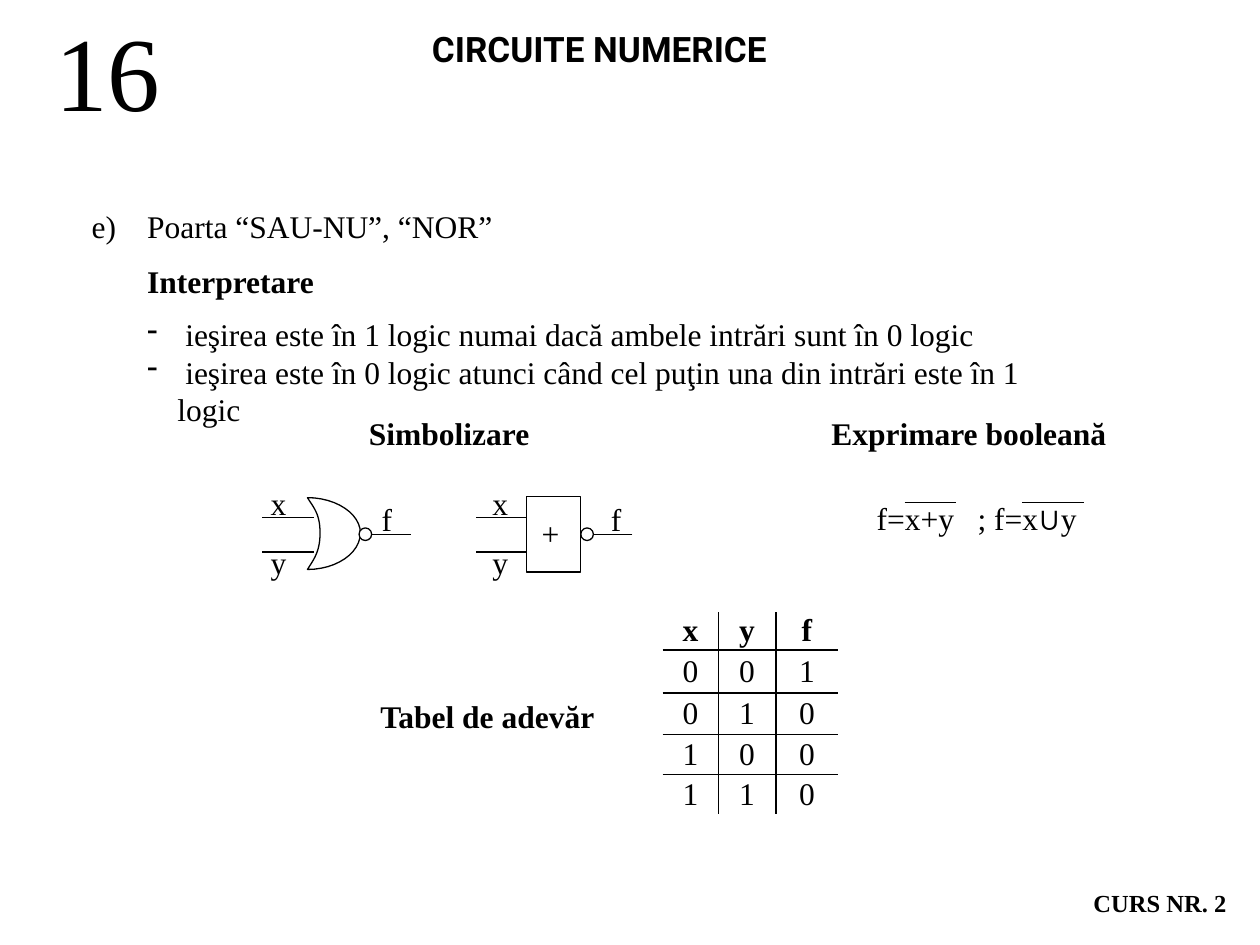
from lxml import etree
from pptx import Presentation, util as u
from pptx.dml.color import RGBColor
from pptx.enum import shapes, text as styles
from pptx.oxml import ns

BLACK = RGBColor(0, 0, 0)
WHITE = RGBColor(255, 255, 255)
SERIF = "Times New Roman"
THIN, THICK = u.Pt(0.75), u.Pt(1.5)

deck = Presentation()
deck.slide_width, deck.slide_height = u.Inches(10), u.Inches(7.5)
page = deck.slides.add_slide(deck.slide_layouts[6])


def write(content, left, top, width, height=0.4, size=18, font=SERIF, bold=False, wrap=False):
    """Add a text box with one paragraph per line; the union sign is set in Arial."""
    box = page.shapes.add_textbox(*map(u.Inches, (left, top, width, height)))
    frame = box.text_frame
    frame.word_wrap = wrap
    if not wrap:
        frame.auto_size = styles.MSO_AUTO_SIZE.SHAPE_TO_FIT_TEXT
    for number, line in enumerate(content.split("\n")):
        para = frame.add_paragraph() if number else frame.paragraphs[0]
        for piece, face in zip(line.partition("∪"), (font, "Arial", font)):
            if piece:
                span = para.add_run()
                span.text = piece
                span.font.name, span.font.size, span.font.bold = face, u.Pt(size), bold
                span.font.color.rgb = BLACK
    return box


def draw_line(x1, y1, x2, y2):
    line = page.shapes.add_connector(shapes.MSO_CONNECTOR.STRAIGHT, *map(u.Inches, (x1, y1, x2, y2)))
    line.line.color.rgb, line.line.width = BLACK, THIN
    etree.SubElement(line._element.spPr, ns.qn("a:effectLst"))
    return line


# Title, slide number and footer
write("CIRCUITE NUMERICE", 3.33, 0.17, 3.03, 0.44, size=20, font="Roboto", bold=True)
write("CURS NR. 2", 8.58, 7, 1.26, 0.34, size=14, bold=True)
write("16", 0.34, 0, 1.03, 1.1, size=60)

# Item and section headings
write("e)", 0.63, 1.59, 0.4)
write("Poarta “SAU-NU”, “NOR”", 1.07, 1.59, 2.94)
for heading, left, top, width in (
    ("Interpretare", 1.07, 2.03, 1.53),
    ("Simbolizare", 2.83, 3.24, 1.48),
    ("Exprimare booleană", 6.5, 3.24, 2.39),
    ("Tabel de adevăr", 2.92, 5.48, 1.92),
):
    write(heading, left, top, width, bold=True)

# Interpretation bullets
bullets = write(
    " ieşirea este în 1 logic numai dacă ambele intrări sunt în 0 logic\n"
    " ieşirea este în 0 logic atunci când cel puţin una din intrări este în 1 logic",
    1.07, 2.45, 7.53, 0.7, wrap=True)
for para in bullets.text_frame.paragraphs:
    settings = para._p.get_or_add_pPr()
    settings.set("marL", str(u.Inches(0.24)))
    settings.set("indent", str(u.Inches(-0.24)))
    etree.SubElement(settings, ns.qn("a:buFontTx"))
    etree.SubElement(settings, ns.qn("a:buChar"), char="-")

# Truth table: inner rules only, thick below the header and before the output
rows = ("xyf", "001", "010", "100", "110")
widths = (0.44, 0.46, 0.49)
heights = (0.29, 0.34, 0.33, 0.32, 0.31)
frame = page.shapes.add_table(
    len(rows), len(widths), u.Inches(5.26), u.Inches(4.86), u.Inches(sum(widths)), u.Inches(sum(heights)))
table = frame.table
table.first_row = table.horz_banding = False
for column, width in zip(table.columns, widths):
    column.width = u.Inches(width)
for row, height in zip(table.rows, heights):
    row.height = u.Inches(height)
for r, values in enumerate(rows):
    for c, value in enumerate(values):
        cell = table.cell(r, c)
        cell.margin_left = cell.margin_right = cell.margin_top = cell.margin_bottom = 0
        cell.vertical_anchor = styles.MSO_ANCHOR.MIDDLE
        para = cell.text_frame.paragraphs[0]
        para.alignment = styles.PP_ALIGN.CENTER
        span = para.add_run()
        span.text = value
        span.font.name, span.font.size, span.font.bold = SERIF, u.Pt(18), r == 0
        span.font.color.rgb = BLACK
        borders = {
            "lnL": (0, THIN, THICK)[c],
            "lnR": (THIN, THICK, 0)[c],
            "lnT": (0, THICK, THIN, THIN, THIN)[r],
            "lnB": (THICK, THIN, THIN, THIN, 0)[r],
        }
        for side, weight in borders.items():
            border = etree.SubElement(cell._tc.get_or_add_tcPr(), ns.qn("a:" + side), w=str(weight))
            if weight:
                paint = etree.SubElement(border, ns.qn("a:solidFill"))
                etree.SubElement(paint, ns.qn("a:srgbClr"), val=str(BLACK))
            else:
                etree.SubElement(border, ns.qn("a:noFill"))
        cell.fill.solid()
        cell.fill.fore_color.rgb = WHITE

# Input wires of both gates
for wire_left, wire_right in ((2.08, 2.49), (3.78, 4.19)):
    for wire_top in (4.11, 4.38):
        draw_line(wire_right, wire_top, wire_left, wire_top)

# NOR gate outline, sampled from its four curves
curves = (
    ((2.44, 3.95), (2.49, 4.03), (2.54, 4.08), (2.54, 4.23)),
    ((2.54, 4.23), (2.54, 4.38), (2.49, 4.44), (2.44, 4.52)),
    ((2.44, 4.52), (2.67, 4.52), (2.86, 4.39), (2.86, 4.23)),
    ((2.86, 4.23), (2.86, 4.08), (2.67, 3.95), (2.44, 3.95)),
)
steps = 12
points = [[u.Inches(value) for value in curves[0][0]]]
for curve in curves:
    for step in range(1, steps + 1):
        t = step / steps
        weights = ((1 - t) ** 3, 3 * t * (1 - t) ** 2, 3 * t * t * (1 - t), t ** 3)
        points.append([
            u.Inches(sum(w * point[axis] for w, point in zip(weights, curve))) for axis in (0, 1)])
builder = page.shapes.build_freeform(*points[0])
builder.add_line_segments(points[1:], close=True)
nor_gate = builder.convert_to_shape()

# Block symbol and output wires
block = page.shapes.add_shape(
    shapes.MSO_SHAPE.RECTANGLE, *map(u.Inches, (4.18, 3.94, 0.43, 0.6)))
draw_line(3.26, 4.24, 2.85, 4.24)
draw_line(5.02, 4.24, 4.61, 4.24).end_connect(block, 3)

# Inversion bubbles
bubbles = [
    page.shapes.add_shape(shapes.MSO_SHAPE.OVAL, *map(u.Inches, (left, 4.19, 0.1, 0.1)))
    for left in (2.85, 4.61)
]
for shape in (nor_gate, block, *bubbles):
    shape.shadow.inherit = False
    shape.fill.solid()
    shape.fill.fore_color.rgb = WHITE
    shape.line.color.rgb, shape.line.width = BLACK, THIN

# Gate labels
write("+", 4.2, 4.03, 0.34)
for input_left, output_left in ((2.05, 2.93), (3.81, 4.75)):
    write("x", input_left, 3.79, 0.32)
    write("y", input_left, 4.26, 0.32)
    write("f", output_left, 3.92, 0.28)

# Boolean expression with negation bars
formula = write("f=x+y\t; f=x∪y", 6.86, 3.91, 1.81)
stops = etree.SubElement(formula.text_frame.paragraphs[0]._p.get_or_add_pPr(), ns.qn("a:tabLst"))
etree.SubElement(stops, ns.qn("a:tab"), pos=str(u.Inches(0.8)), algn="l")
for bar_left, bar_right in ((7.18, 7.59), (8.11, 8.6)):
    draw_line(bar_left, 3.99, bar_right, 3.99)

deck.save("out.pptx")
